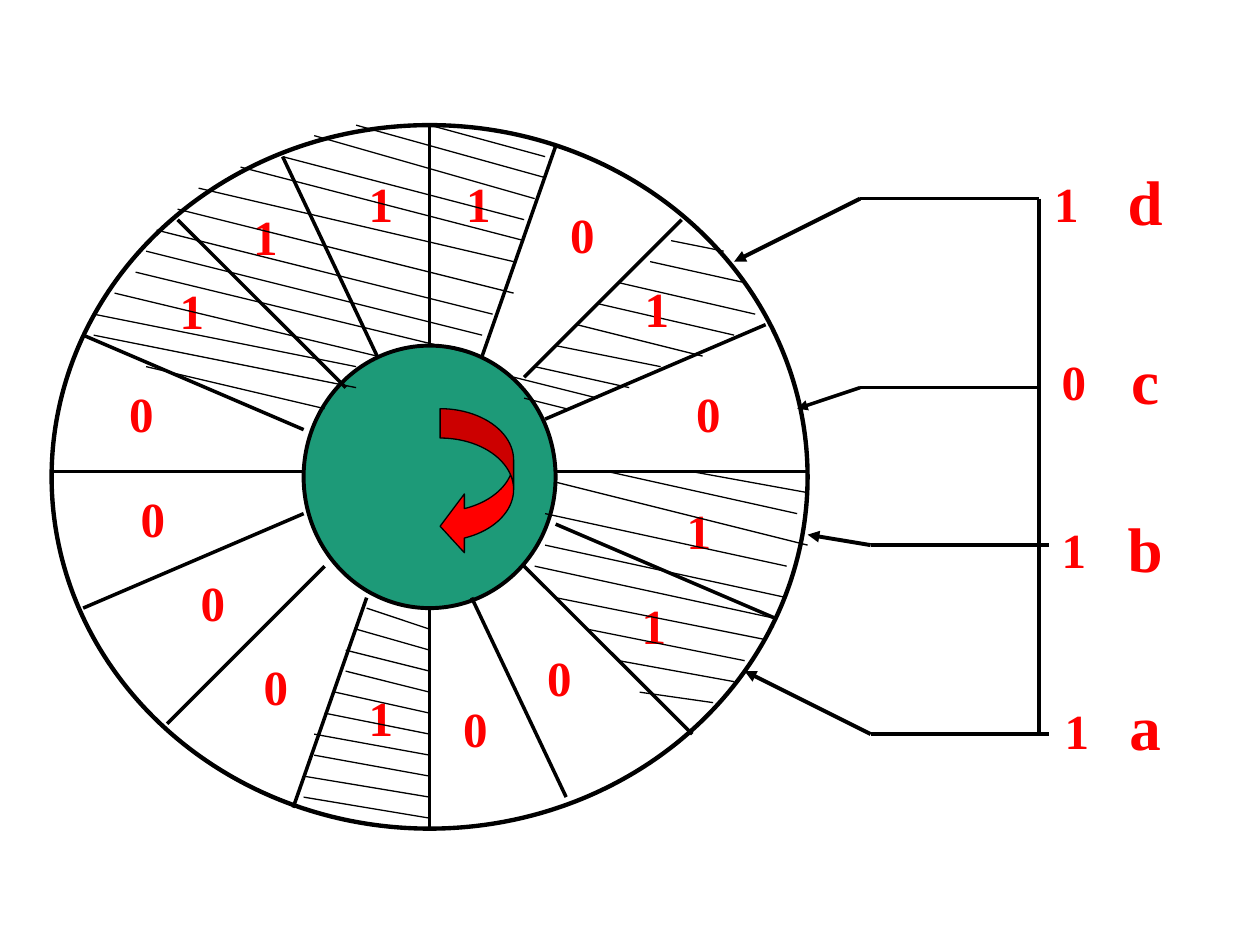
from dataclasses import dataclass

from lxml.etree import SubElement
from pptx import Presentation
from pptx.dml.color import RGBColor
from pptx.enum.shapes import MSO_CONNECTOR, MSO_SHAPE
from pptx.enum.text import MSO_AUTO_SIZE, PP_ALIGN
from pptx.oxml.ns import qn
from pptx.util import Inches, Pt

CELL = Inches(1) / 12  # the slide is a grid of 120 columns by 90 rows


@dataclass(frozen=True)
class Theme:
    ink: RGBColor = RGBColor(0x00, 0x00, 0x00)
    paper: RGBColor = RGBColor(0xFF, 0xFF, 0xFF)
    hub: RGBColor = RGBColor(0x1D, 0x9A, 0x78)
    accent: RGBColor = RGBColor(0xFF, 0x00, 0x00)
    font: str = "Times New Roman"
    bit: int = 28
    letter: int = 36
    hatch: float = 0.75
    wire: float = 2
    heavy: float = 2.25
    rim: float = 2.5


@dataclass(frozen=True)
class Box:
    """A region of the grid; positions inside it count from its top left."""
    col: float
    row: float

    def at(self, x, y):
        return round((self.col + x) * CELL), round((self.row + y) * CELL)


T = Theme()

SPOKES = [
    (36, 0, 36, 21), (48, 2, 41, 22), (60, 9, 45, 24), (68, 19, 47, 28),
    (48, 33, 72, 33), (48, 38, 69, 47), (45, 42, 61, 58), (40, 45, 49, 64),
    (36, 46, 36, 67), (30, 45, 23, 65), (26, 42, 11, 57), (24, 37, 3, 46),
    (0, 33, 24, 33), (3, 20, 24, 29), (12, 9, 28, 25), (22, 3, 31, 22),
]
HATCH_TOP_LEFT = [
    (36, 0, 47, 3), (29, 0, 47, 5), (25, 1, 46, 7), (22, 3, 45, 9),
    (18, 4, 45, 11), (14, 6, 44, 13), (12, 8, 44, 16), (10, 10, 42, 18),
    (9, 12, 41, 20), (8, 14, 41, 22), (6, 16, 31, 22), (4, 18, 29, 23),
    (4, 20, 29, 25), (9, 23, 26, 27),
]
HATCH_TOP_RIGHT = [
    (59, 11, 64, 12), (57, 13, 66, 15), (54, 15, 67, 18), (52, 17, 65, 20),
    (50, 19, 62, 22), (48, 21, 58, 23), (46, 23, 55, 25), (44, 24, 52, 26),
    (45, 26, 49, 27),
]
HATCH_RIGHT = [
    (61, 33, 72, 35), (53, 33, 71, 37), (48, 34, 72, 40), (47, 37, 70, 42),
    (47, 40, 70, 45), (46, 42, 69, 47), (48, 45, 68, 49), (51, 48, 66, 51),
    (54, 51, 65, 53), (56, 54, 63, 55),
]
BOTTOM_STARTS = [30, 29, 28, 28, 27, 26, 25, 25, 24, 24]
HATCH_BOTTOM = [(x, 46 + 2 * i, 36, 48 + 2 * i)
                for i, x in enumerate(BOTTOM_STARTS)]

# Clockwise from the top
WHEEL_BITS = [
    ("1", 38.3, 4), ("0", 48.2, 7), ("1", 55.3, 14), ("0", 60.2, 24),
    ("1", 59.3, 35.2), ("1", 55, 44.2), ("0", 46, 49.2), ("0", 38, 54),
    ("1", 29, 53), ("0", 19, 50), ("0", 13, 42), ("0", 7.3, 34),
    ("0", 6.2, 24), ("1", 11, 14.2), ("1", 18, 7.2), ("1", 29, 4),
]

# letter, letter row, bit, bit place, brush tip, elbow, wire end, arrow width
BRUSHES = [
    ("d", 0, "1", (29.3, 1), (0, 10), (12, 4), 29, T.heavy),
    ("c", 17, "0", (30, 18), (6, 24), (12, 22), 29, T.wire),
    ("b", 33, "1", (30, 34), (7, 36), (13, 37), 30, T.heavy),
    ("a", 50, "1", (30.3, 51.2), (1, 49), (13, 55), 30, T.heavy),
]


def add_line(s, box, ends, width, arrow=False):
    x1, y1, x2, y2 = ends
    c = s.shapes.add_connector(MSO_CONNECTOR.STRAIGHT,
                               *box.at(x1, y1), *box.at(x2, y2))
    c.line.color.rgb = T.ink
    c.line.width = Pt(width)
    if arrow:
        SubElement(c.line._get_or_add_ln(), qn("a:tailEnd"), type="triangle")
    SubElement(c._element.spPr, qn("a:effectLst"))


def add_figure(s, box, kind, place, fill, width):
    x, y, w, h = place
    sp = s.shapes.add_shape(kind, *box.at(x, y), round(w * CELL), round(h * CELL))
    sp.shadow.inherit = False
    sp.fill.solid()
    sp.fill.fore_color.rgb = fill
    sp.line.color.rgb = T.ink
    sp.line.width = Pt(width)
    return sp


def add_label(s, box, text, x, y, size, w, h, align=PP_ALIGN.LEFT):
    sp = s.shapes.add_textbox(*box.at(x, y), Inches(w), Inches(h))
    tf = sp.text_frame
    tf.word_wrap = False
    tf.auto_size = MSO_AUTO_SIZE.SHAPE_TO_FIT_TEXT
    p = tf.paragraphs[0]
    p.text = text
    p.alignment = align
    p.font.name = T.font
    p.font.size = Pt(size)
    p.font.bold = True
    p.font.color.rgb = T.accent


def add_bit(s, box, text, x, y):
    add_label(s, box, text, x, y, T.bit, 0.39, 0.57)


def add_wheel(s, box):
    add_figure(s, box, MSO_SHAPE.OVAL, (0, 0, 72, 67), T.paper, T.rim)
    add_figure(s, box, MSO_SHAPE.OVAL, (24, 21, 24, 25), T.hub, T.heavy)
    for ends in SPOKES:
        add_line(s, box, ends, T.wire)
    for ends in HATCH_TOP_RIGHT:
        add_line(s, box, ends, T.hatch)
    for bit in WHEEL_BITS:
        add_bit(s, box, *bit)
    for ends in HATCH_TOP_LEFT + HATCH_RIGHT + HATCH_BOTTOM:
        add_line(s, box, ends, T.hatch)
    turn = add_figure(s, box, MSO_SHAPE.CURVED_LEFT_ARROW, (37, 27, 7, 14),
                      T.accent, T.hatch)
    for i, share in enumerate((0.4, 0.8, 0.33)):
        turn.adjustments[i] = share


def add_readout(s, box):
    for letter, row, bit, place, tip, elbow, end, width in BRUSHES:
        add_line(s, box, (*elbow, *tip), width, arrow=True)
        add_line(s, box, (*elbow, end, elbow[1]), T.wire)
        add_bit(s, box, bit, *place)
        add_label(s, box, letter, 35.3, row, T.letter, 0.64, 0.7,
                  PP_ALIGN.CENTER)
    add_line(s, box, (29, 4, 29, 55), T.heavy)


def main():
    prs = Presentation()
    prs.slide_width, prs.slide_height = Inches(10), Inches(7.5)
    s = prs.slides.add_slide(prs.slide_layouts[6])
    add_wheel(s, Box(4.92, 11.92))
    add_readout(s, Box(69.92, 14.92))
    prs.save("out.pptx")


if __name__ == "__main__":
    main()
